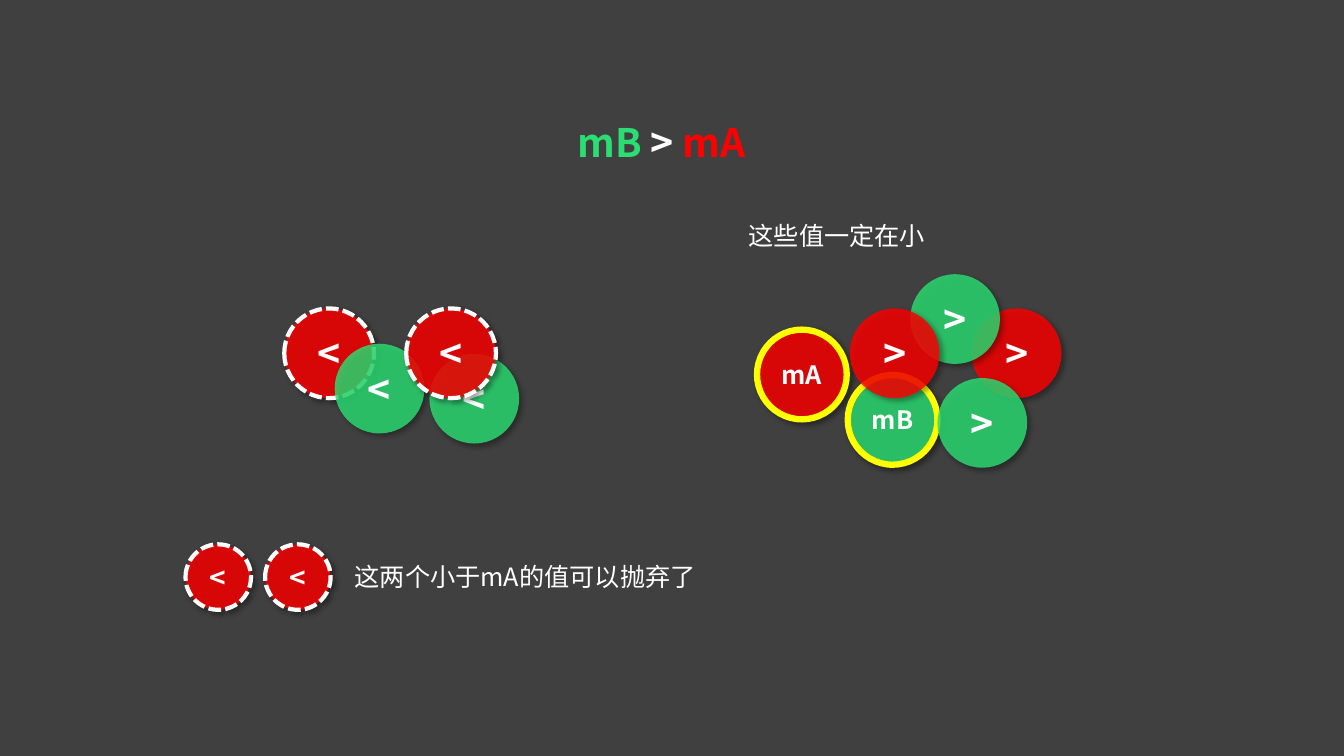
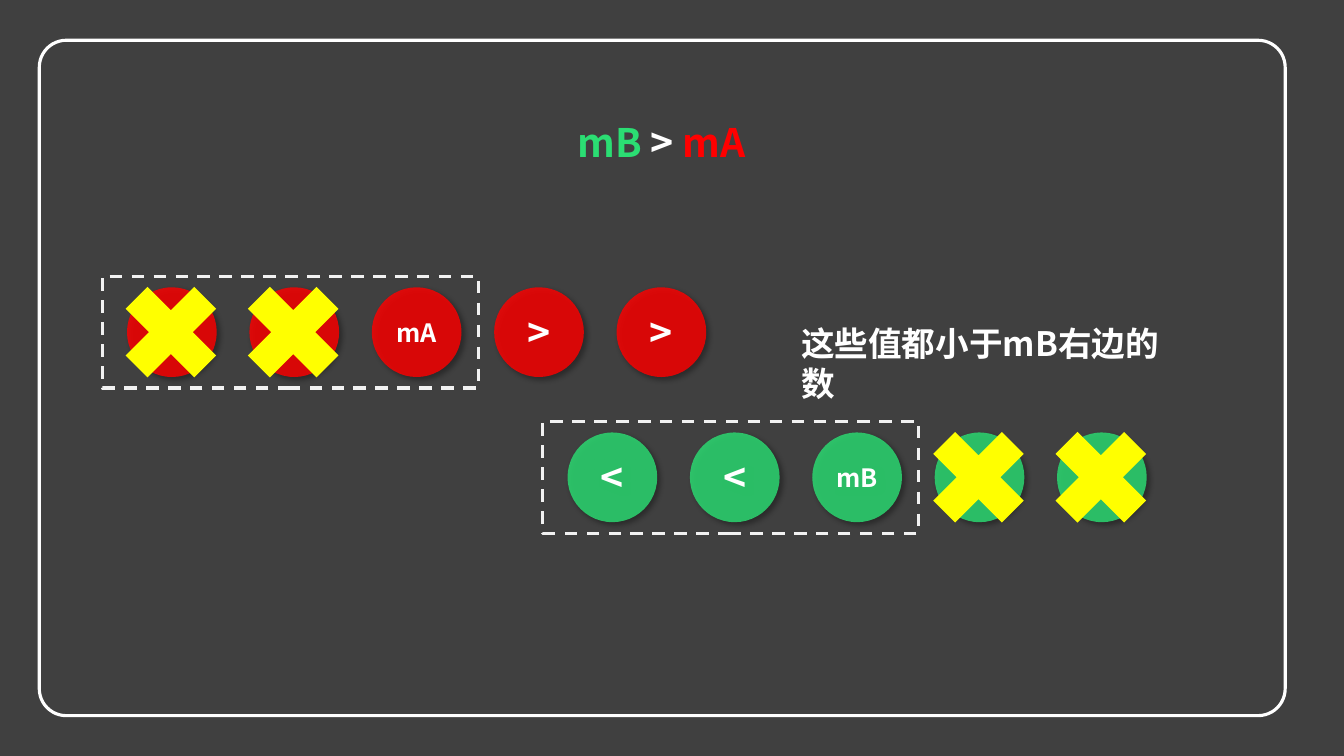
from dataclasses import dataclass

from lxml import etree
from pptx import Presentation
from pptx.dml.color import RGBColor
from pptx.enum.dml import MSO_LINE
from pptx.enum.shapes import MSO_SHAPE
from pptx.enum.text import MSO_ANCHOR, PP_ALIGN
from pptx.oxml.ns import qn
from pptx.util import Inches, Pt

OVAL, BOX = MSO_SHAPE.OVAL, MSO_SHAPE.RECTANGLE
ROUND_BOX, CROSS = MSO_SHAPE.ROUNDED_RECTANGLE, MSO_SHAPE.MATH_MULTIPLY
DASH, FINE_DASH = MSO_LINE.DASH, MSO_LINE.SQUARE_DOT
CENTER, MIDDLE = PP_ALIGN.CENTER, MSO_ANCHOR.MIDDLE


@dataclass(frozen=True)
class Theme:
    background: str = "404040"
    red: str = "FF0000"
    green: str = "2BDE73"
    yellow: str = "FFFF00"
    white: str = "FFFFFF"
    pale: str = "F2F2F2"
    font: str = "Noto Sans CJK SC"
    title_size: int = 28
    heading_size: int = 24
    small_sign_size: int = 20
    body_size: int = 18
    ball_opacity: int = 82


THEME = Theme()

# The grid has ten columns and ten rows to the inch.
COLUMNS, ROWS = 133.33, 75
BALL, SMALL_BALL, CROSS_SIZE = 8.9, 6.5, 13.1
BALL_PITCH = 12.14
FRAME_WIDTH, FRAME_HEIGHT = 37.3, 11.1

DISCARDED = (THEME.white, 3, FINE_DASH)
MEDIAN = (THEME.yellow, 4.5, None)


def grid(units):
    return Inches(units / 10)


def add_runs(paragraph, runs, size, bold):
    """Add (text, colour) pairs to the paragraph, one run each."""
    for text, color in runs:
        run = paragraph.add_run()
        run.text = text
        run.font.size = Pt(size)
        run.font.bold = bold
        run.font.color.rgb = RGBColor.from_string(color)
        run.font.name = THEME.font
        east_asian = etree.SubElement(run._r.get_or_add_rPr(), qn("a:ea"))
        east_asian.set("typeface", THEME.font)


def add_text(slide, column, row, width, height, runs, size, bold=False):
    box = slide.shapes.add_textbox(*map(grid, (column, row, width, height)))
    box.text_frame.word_wrap = True
    add_runs(box.text_frame.paragraphs[0], runs, size, bold)


def add_figure(slide, kind, column, row, width, height, fill=None, outline=None):
    """Add a preset shape; outline is a (colour, points, dash) triple."""
    shape = slide.shapes.add_shape(kind, *map(grid, (column, row, width, height)))
    shape.shadow.inherit = False
    if fill:
        shape.fill.solid()
        shape.fill.fore_color.rgb = RGBColor.from_string(fill)
    else:
        shape.fill.background()
    if outline:
        color, points, dash = outline
        shape.line.color.rgb = RGBColor.from_string(color)
        shape.line.width = Pt(points)
        if dash:
            shape.line.dash_style = dash
    else:
        shape.line.fill.background()
    return shape


def add_alpha(color_element, percent):
    etree.SubElement(color_element, qn("a:alpha")).set("val", str(percent * 1000))


def add_drop_shadow(shape):
    effects = shape._element.spPr.find(qn("a:effectLst"))
    shadow = etree.SubElement(effects, qn("a:outerShdw"), blurRad=str(Pt(4)),
                              dist=str(Pt(3)), dir="2700000", algn="tl", rotWithShape="0")
    add_alpha(etree.SubElement(shadow, qn("a:srgbClr"), val="000000"), 40)


def add_ball(slide, column, row, label, color, outline=None, diameter=BALL):
    ball = add_figure(slide, OVAL, column, row, diameter, diameter, color, outline)
    add_alpha(ball._element.spPr.find(qn("a:solidFill"))[0], THEME.ball_opacity)
    add_drop_shadow(ball)
    if len(label) > 1:
        size = THEME.body_size
    else:
        size = THEME.title_size if diameter == BALL else THEME.small_sign_size
    frame = ball.text_frame
    frame.word_wrap = False
    frame.vertical_anchor = MIDDLE
    frame.paragraphs[0].alignment = CENTER
    add_runs(frame.paragraphs[0], [(label, THEME.white)], size, True)


def add_ball_row(slide, column, row, labels, color, crossed):
    """Add a row of balls, a dashed frame round the first three, and crosses."""
    columns = [column + index * BALL_PITCH for index in range(len(labels))]
    for ball_column, label in zip(columns, labels):
        add_ball(slide, ball_column, row, label, color)
    add_figure(slide, BOX, column - 2.45, row - 1.1, FRAME_WIDTH, FRAME_HEIGHT,
               outline=(THEME.pale, 2.25, DASH))
    overhang = (CROSS_SIZE - BALL) / 2
    for index in crossed:
        add_figure(slide, CROSS, columns[index] - overhang - 0.1, row - overhang,
                   CROSS_SIZE, CROSS_SIZE, THEME.yellow)


def add_title(slide):
    runs = [("mB", THEME.green), (" > ", THEME.white), ("mA", THEME.red)]
    add_text(slide, 56.3, 11.2, 18.9, 5.7, runs, THEME.title_size, True)


def build_scattered_slide(slide):
    red, green = THEME.red, THEME.green
    balls_behind_title = [
        (28.2, 30.6, "<", red, DISCARDED),
        (75.1, 32.7, "mA", red, MEDIAN),
        (96.4, 30.6, ">", red),
        (33.2, 34.1, "<", green),
        (42.6, 35.1, "<", green),
        (84.1, 37.2, "mB", green, MEDIAN),
        (93, 37.5, ">", green),
        (90.3, 27.2, ">", green),
        (40.3, 30.6, "<", red, DISCARDED),
        (84.3, 30.6, ">", red),
    ]
    for ball in balls_behind_title:
        add_ball(slide, *ball)
    add_title(slide)
    for column in (26.3, 18.4):
        add_ball(slide, column, 54, "<", red, DISCARDED, SMALL_BALL)
    add_text(slide, 34.2, 55.2, 36, 4, [("这两个小于mA的值可以抛弃了", THEME.white)],
             THEME.body_size)
    add_text(slide, 73.3, 21.4, 19.7, 4, [("这些值一定在小", THEME.white)],
             THEME.body_size)


def build_ordered_slide(slide):
    panel = add_figure(slide, ROUND_BOX, 3.9, 4, 123.6, 67, THEME.background,
                       (THEME.white, 2.25, None))
    panel.adjustments[0] = 0.04
    add_title(slide)
    add_ball_row(slide, 12.6, 28.5, ["<", "<", "mA", ">", ">"], THEME.red, (0, 1))
    add_ball_row(slide, 56.3, 42.9, ["<", "<", "mB", ">", ">"], THEME.green, (3, 4))
    add_text(slide, 78.5, 31.5, 40.7, 5, [("这些值都小于mB右边的数", THEME.white)],
             THEME.heading_size, True)


def main():
    presentation = Presentation()
    presentation.slide_width, presentation.slide_height = grid(COLUMNS), grid(ROWS)
    background = presentation.slide_master.background.fill
    background.solid()
    background.fore_color.rgb = RGBColor.from_string(THEME.background)
    blank = presentation.slide_layouts[6]
    for build in (build_scattered_slide, build_ordered_slide):
        build(presentation.slides.add_slide(blank))
    presentation.save("out.pptx")


if __name__ == "__main__":
    main()
